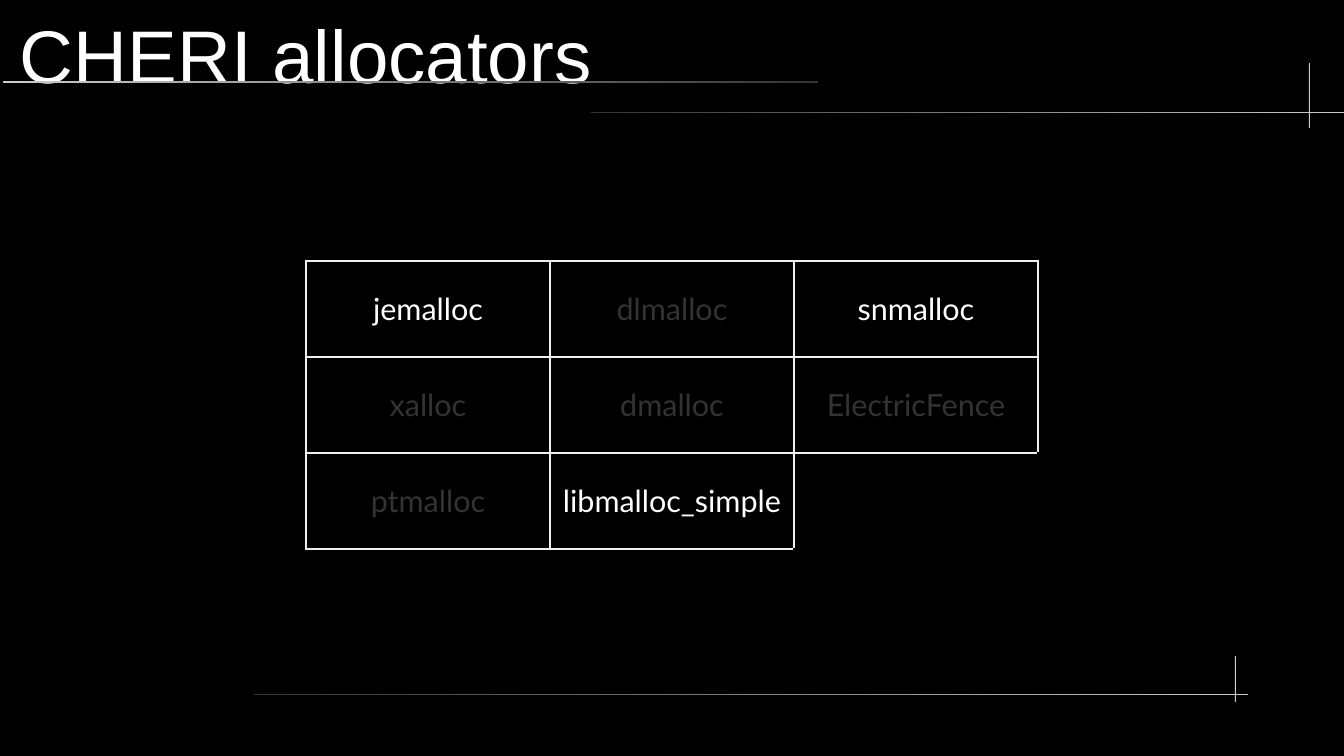
from lxml.etree import SubElement
from pptx import Presentation
from pptx.dml.color import RGBColor
from pptx.enum.shapes import MSO_SHAPE as Shape
from pptx.enum.text import MSO_ANCHOR as Anchor, PP_ALIGN as Align
from pptx.oxml.ns import qn
from pptx.util import Pt

TITLE = "CHERI allocators"
ALLOCATORS = [
    ["jemalloc", "dlmalloc", "snmalloc"],
    ["xalloc", "dmalloc", "ElectricFence"],
    ["ptmalloc", "libmalloc_simple", ""],
]
HIGHLIGHTED = {"jemalloc", "snmalloc", "libmalloc_simple"}
COLORS = {
    "background": "000000",
    "text": "FFFFFF",
    "dim": "333333",
    "rule": "CCCCCC",
    "border": "EEEEEE",
}
RULES = [
    (3, 81, 815, 2, "rule", "dim"),
    (591, 112, 758, 1, "dim", "rule"),
    (1309, 63, 1, 65, "rule", "rule"),
    (254, 694, 994, 1, "dim", "rule"),
    (1235, 656, 1, 46, "rule", "rule"),
]
SLIDE_WIDTH, SLIDE_HEIGHT = 1344, 756
TITLE_BOX = (20, 10, 1272, 87)
TABLE_LEFT, TABLE_TOP = 306, 261
COLUMN_WIDTH, ROW_HEIGHT = 244, 96
MARGIN_X, MARGIN_Y = 5, 6
EMU_PER_PX = 914400 / 122


def px(length):
    return round(length * EMU_PER_PX)


def color(name):
    return RGBColor.from_string(COLORS[name])


def add_rule(slide, left, top, width, height, start, end):
    rule = slide.shapes.add_shape(Shape.ROUNDED_RECTANGLE, px(left), px(top), px(width), px(height))
    rule.adjustments[0] = 0.5
    rule.shadow.inherit = False
    rule.line.fill.background()
    if start == end:
        rule.fill.solid()
        rule.fill.fore_color.rgb = color(start)
        return
    rule.fill.gradient()
    rule.fill.gradient_angle = 0
    for stop, name in zip(rule.fill.gradient_stops, (start, end)):
        stop.color.rgb = color(name)


def set_borders(cell, names):
    properties = cell._tc.get_or_add_tcPr()
    for index, (side, name) in enumerate(zip(("lnL", "lnR", "lnT", "lnB"), names)):
        line = SubElement(properties, qn(f"a:{side}"), w=str(Pt(0.85)))
        fill = SubElement(line, qn("a:solidFill"))
        SubElement(fill, qn("a:srgbClr"), val=COLORS[name])
        properties.insert(index, line)


def fill_cell(cell, text):
    cell.fill.background()
    cell.vertical_anchor = Anchor.MIDDLE
    cell.margin_left = cell.margin_right = px(MARGIN_X)
    cell.margin_top = cell.margin_bottom = px(MARGIN_Y)
    outer = "border" if text else "background"
    set_borders(cell, ("border", outer, "border", outer))
    cell.text = text
    paragraph = cell.text_frame.paragraphs[0]
    paragraph.alignment = Align.CENTER
    paragraph.font.name = "Lato"
    paragraph.font.size = Pt(18)
    paragraph.font.color.rgb = color("text" if text in HIGHLIGHTED else "dim")


def add_title(slide):
    title = slide.shapes.title
    title.left, title.top, title.width, title.height = map(px, TITLE_BOX)
    frame = title.text_frame
    frame.text = TITLE
    frame.word_wrap = True
    frame.vertical_anchor = Anchor.MIDDLE
    frame.margin_left = frame.margin_right = frame.margin_top = frame.margin_bottom = 0
    paragraph = frame.paragraphs[0]
    paragraph.alignment = Align.LEFT
    paragraph.font.name = "Arial"
    paragraph.font.size = Pt(44)
    paragraph.font.color.rgb = color("text")


def add_allocator_table(slide):
    rows, columns = len(ALLOCATORS), len(ALLOCATORS[0])
    table = slide.shapes.add_table(
        rows, columns, px(TABLE_LEFT), px(TABLE_TOP),
        px(columns * COLUMN_WIDTH), px(rows * ROW_HEIGHT),
    ).table
    table.first_row = table.horz_banding = False
    for column in table.columns:
        column.width = px(COLUMN_WIDTH)
    for row, names in zip(table.rows, ALLOCATORS):
        row.height = px(ROW_HEIGHT)
        for cell, name in zip(row.cells, names):
            fill_cell(cell, name)


def main():
    presentation = Presentation()
    presentation.slide_width = px(SLIDE_WIDTH)
    presentation.slide_height = px(SLIDE_HEIGHT)
    slide = presentation.slides.add_slide(presentation.slide_layouts[5])
    slide.background.fill.solid()
    slide.background.fill.fore_color.rgb = color("background")
    for rule in RULES:
        add_rule(slide, *rule)
    add_title(slide)
    add_allocator_table(slide)
    presentation.save("out.pptx")


if __name__ == "__main__":
    main()
